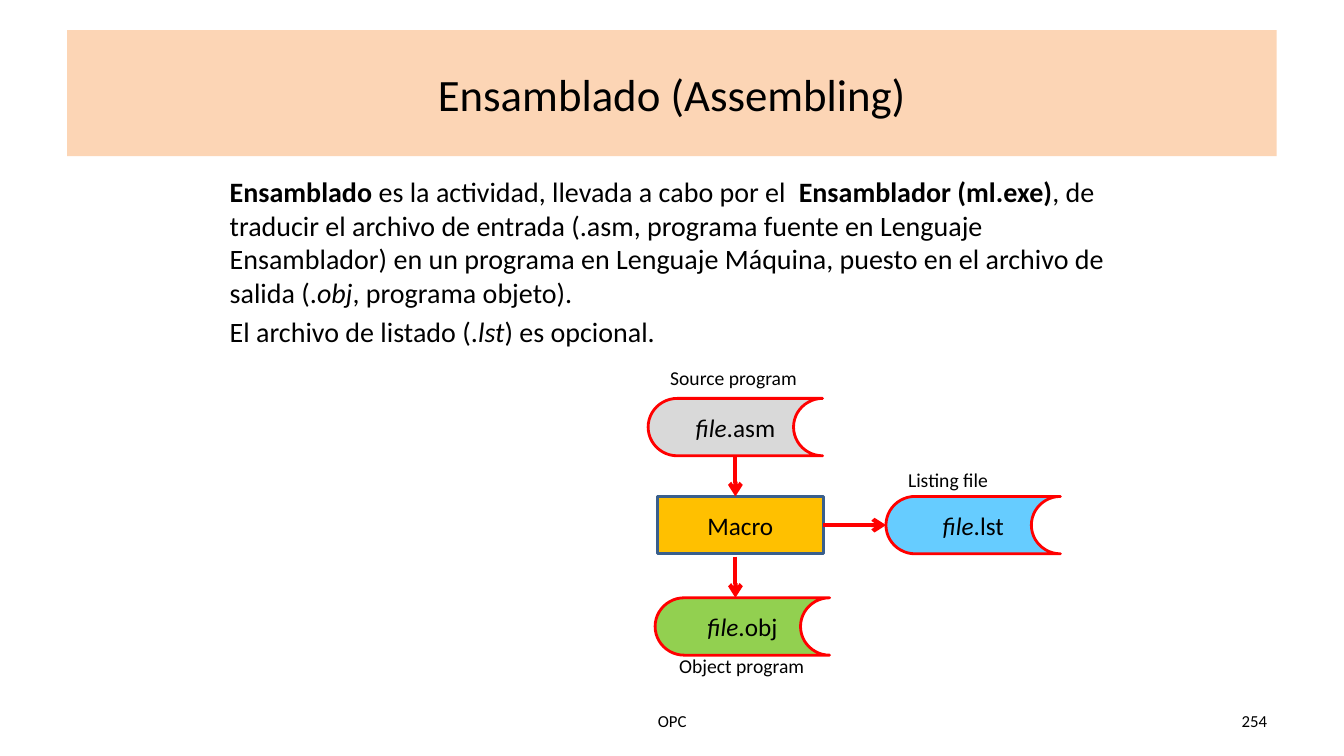
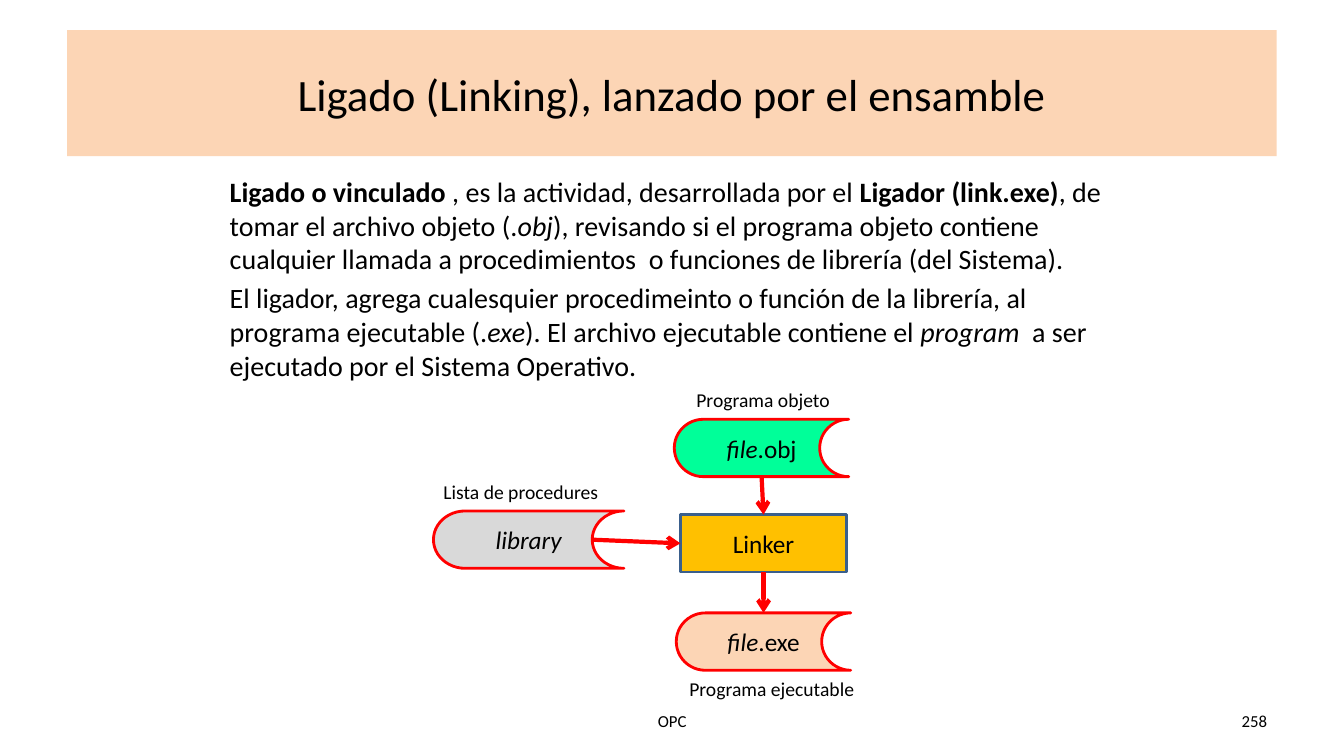
from dataclasses import dataclass

from lxml import etree
from pptx import Presentation
from pptx.dml.color import RGBColor
from pptx.enum.shapes import MSO_CONNECTOR, MSO_SHAPE
from pptx.enum.text import MSO_ANCHOR, MSO_AUTO_SIZE, PP_ALIGN
from pptx.oxml.ns import qn
from pptx.shapes.autoshape import Shape
from pptx.slide import Slide
from pptx.text.text import TextFrame
from pptx.util import Pt

STORE = MSO_SHAPE.FLOWCHART_STORED_DATA
STEP = MSO_SHAPE.FLOWCHART_PROCESS
STRAIGHT = MSO_CONNECTOR.STRAIGHT
LEFT, CENTER, RIGHT = PP_ALIGN.LEFT, PP_ALIGN.CENTER, PP_ALIGN.RIGHT
TOP, MIDDLE = MSO_ANCHOR.TOP, MSO_ANCHOR.MIDDLE
FIXED = MSO_AUTO_SIZE.NONE

BLACK = RGBColor(0x00, 0x00, 0x00)
RED = RGBColor(0xFF, 0x00, 0x00)
BLUE = RGBColor(0x3A, 0x5F, 0x8C)
PEACH = RGBColor(0xFC, 0xD5, 0xB5)
GREY = RGBColor(0xD9, 0xD9, 0xD9)
GOLD = RGBColor(0xFF, 0xC0, 0x00)
GREEN = RGBColor(0x92, 0xD0, 0x50)
MINT = RGBColor(0x00, 0xFF, 0x99)
SKY = RGBColor(0x66, 0xCC, 0xFF)

FONT = "Calibri"
NODE_H = 41
STORE_W = 124.6
STEP_W = 118.8
LABEL_W, LABEL_H = 140, 24.5
FOOT_Y, FOOT_H = 500.4, 28.8
N, S, W, E = 0, 2, 1, 3

Run = tuple[str, str]
Para = list[Run]
Box = tuple[float, float, float, float]


@dataclass(frozen=True)
class Node:
    left: float
    top: float
    fill: RGBColor
    text: Para
    width: float = STORE_W
    step: bool = False


@dataclass(frozen=True)
class Label:
    left: float
    top: float
    text: str


@dataclass(frozen=True)
class Arrow:
    start: tuple[float, float]
    end: tuple[float, float]
    tail: tuple[str, int] | None = None
    head: tuple[str, int] | None = None


@dataclass(frozen=True)
class Page:
    title: str
    number: str
    body: list[Para]
    nodes: dict[str, Node]
    labels: list[Label]
    arrows: list[Arrow]


def write(frame: TextFrame, paras: list[Para], size: float,
          align: PP_ALIGN = LEFT, anchor: MSO_ANCHOR = TOP,
          gap: float = 0) -> None:
    frame.word_wrap = True
    frame.auto_size = FIXED
    frame.vertical_anchor = anchor
    for index, runs in enumerate(paras):
        para = frame.add_paragraph() if index else frame.paragraphs[0]
        para.alignment = align
        para.space_before = Pt(gap if index else 0)
        for text, style in runs:
            run = para.add_run()
            run.text = text
            font = run.font
            font.name, font.size = FONT, Pt(size)
            font.color.rgb = BLACK
            font.bold = style == "b"
            font.italic = style == "i"


def add_text(slide: Slide, box: Box, paras: list[Para], size: float,
             align: PP_ALIGN = LEFT, anchor: MSO_ANCHOR = TOP,
             gap: float = 0) -> None:
    shape = slide.shapes.add_textbox(*map(Pt, box))
    write(shape.text_frame, paras, size, align, anchor, gap)


def add_title(slide: Slide, text: str) -> None:
    title = slide.shapes.title
    title.left, title.top, title.width, title.height = map(Pt, (48, 21.6, 864, 90))
    title.fill.solid()
    title.fill.fore_color.rgb = PEACH
    write(title.text_frame, [[(text, "")]], 32, CENTER, MIDDLE)


def add_node(slide: Slide, node: Node) -> Shape:
    box = node.left, node.top, node.width, NODE_H
    shape = slide.shapes.add_shape(STEP if node.step else STORE, *map(Pt, box))
    shape.shadow.inherit = False
    shape.fill.solid()
    shape.fill.fore_color.rgb = node.fill
    shape.line.color.rgb = BLUE if node.step else RED
    shape.line.width = Pt(2)
    write(shape.text_frame, [node.text], 18, CENTER, MIDDLE)
    return shape


def add_arrow(slide: Slide, arrow: Arrow, shapes: dict[str, Shape]) -> None:
    line = slide.shapes.add_connector(
        STRAIGHT, *map(Pt, arrow.start + arrow.end))
    if arrow.tail:
        name, side = arrow.tail
        line.begin_connect(shapes[name], side)
    if arrow.head:
        name, side = arrow.head
        line.end_connect(shapes[name], side)
    line.line.color.rgb = RED
    line.line.width = Pt(3)
    props = line.line._get_or_add_ln()
    etree.SubElement(props, qn("a:tailEnd"), type="arrow")
    etree.SubElement(props.getparent(), qn("a:effectLst"))


def add_foot(slide: Slide, number: str) -> None:
    for left, width, text, align in (
            (328.3, 303.8, "OPC", CENTER), (688.3, 223.9, number, RIGHT)):
        add_text(slide, (left, FOOT_Y, width, FOOT_H), [[(text, "")]],
                 12, align, MIDDLE)


def build(slide: Slide, page: Page) -> None:
    add_title(slide, page.title)
    add_text(slide, (157, 121, 648, 375.8), page.body, 20, gap=4)
    add_foot(slide, page.number)
    shapes = {name: add_node(slide, node) for name, node in page.nodes.items()}
    for arrow in page.arrows:
        add_arrow(slide, arrow, shapes)
    for label in page.labels:
        add_text(slide, (label.left, label.top, LABEL_W, LABEL_H),
                 [[(label.text, "")]], 14)


def file(end: str) -> Para:
    return [("file", "i"), (end, "")]


PAGES = [
    Page(
        "Ensamblado (Assembling)", "254",
        [
            [("Ensamblado ", "b"),
             ("es la actividad, llevada a cabo por el  ", ""),
             ("Ensamblador (ml.exe)", "b"),
             (", de traducir el archivo de entrada (.asm, programa fuente en "
              "Lenguaje Ensamblador) en un programa en Lenguaje Máquina, "
              "puesto en el archivo de salida (.", ""),
             ("obj", "i"), (", programa objeto).", "")],
            [("El archivo de listado (.", ""), ("lst", "i"),
             (") es opcional.", "")],
        ],
        {
            "source": Node(463, 284.6, GREY, file(".asm")),
            "tool": Node(469.4, 354.6, GOLD, [("Macro", "")], STEP_W, True),
            "object": Node(468, 427, GREEN, file(".obj")),
            "list": Node(632.9, 354.6, SKY, file(".lst")),
        },
        [Label(471.6, 257.8, "Source program"),
         Label(478, 463.7, "Object program"),
         Label(641.5, 330.5, "Listing file")],
        [Arrow((525.3, 325.6), (525.3, 354.6), ("source", S)),
         Arrow((525.3, 397.6), (525.3, 427)),
         Arrow((588.2, 375.1), (632.9, 375.1), ("tool", E), ("list", W))],
    ),
    Page(
        "Ligado (Linking), lanzado por el ensamble", "258",
        [
            [("Ligado o vinculado", "b"),
             (" , es la actividad, desarrollada por el ", ""),
             ("Ligador (link.exe)", "b"),
             (", de tomar el archivo objeto (.", ""), ("obj", "i"),
             ("), revisando si el programa objeto contiene cualquier llamada "
              "a procedimientos  o funciones de librería (del Sistema).", "")],
            [("El ligador, agrega cualesquier procedimeinto o función de la "
              "librería, al programa ejecutable (.", ""), ("exe", "i"),
             ("). El archivo ejecutable contiene el ", ""), ("program", "i"),
             ("  a ser ejecutado por el Sistema Operativo.", "")],
        ],
        {
            "object": Node(481.7, 299.5, MINT, file(".obj")),
            "result": Node(483.1, 437.8, PEACH, file(".exe")),
            "tool": Node(486, 367.6, GOLD, [("Linker", "")], STEP_W, True),
            "store": Node(309.6, 365, GREY, [("library", "i")], 136.1),
        },
        [Label(490.3, 273.6, "Programa objeto"),
         Label(485.3, 480.2, "Programa ejecutable"),
         Label(309.6, 339.1, "Lista de procedures")],
        [Arrow((544, 340.5), (545.4, 367.6), ("object", S), ("tool", N)),
         Arrow((545.4, 408.6), (545.4, 437.8), ("tool", S), ("result", N)),
         Arrow((423, 385.5), (486, 388.1), None, ("tool", W))],
    ),
]


def main() -> None:
    deck = Presentation()
    deck.slide_width, deck.slide_height = Pt(960), Pt(540)
    layout = deck.slide_layouts.get_by_name("Title Only")
    for page in PAGES:
        build(deck.slides.add_slide(layout), page)
    deck.save("out.pptx")


if __name__ == "__main__":
    main()
